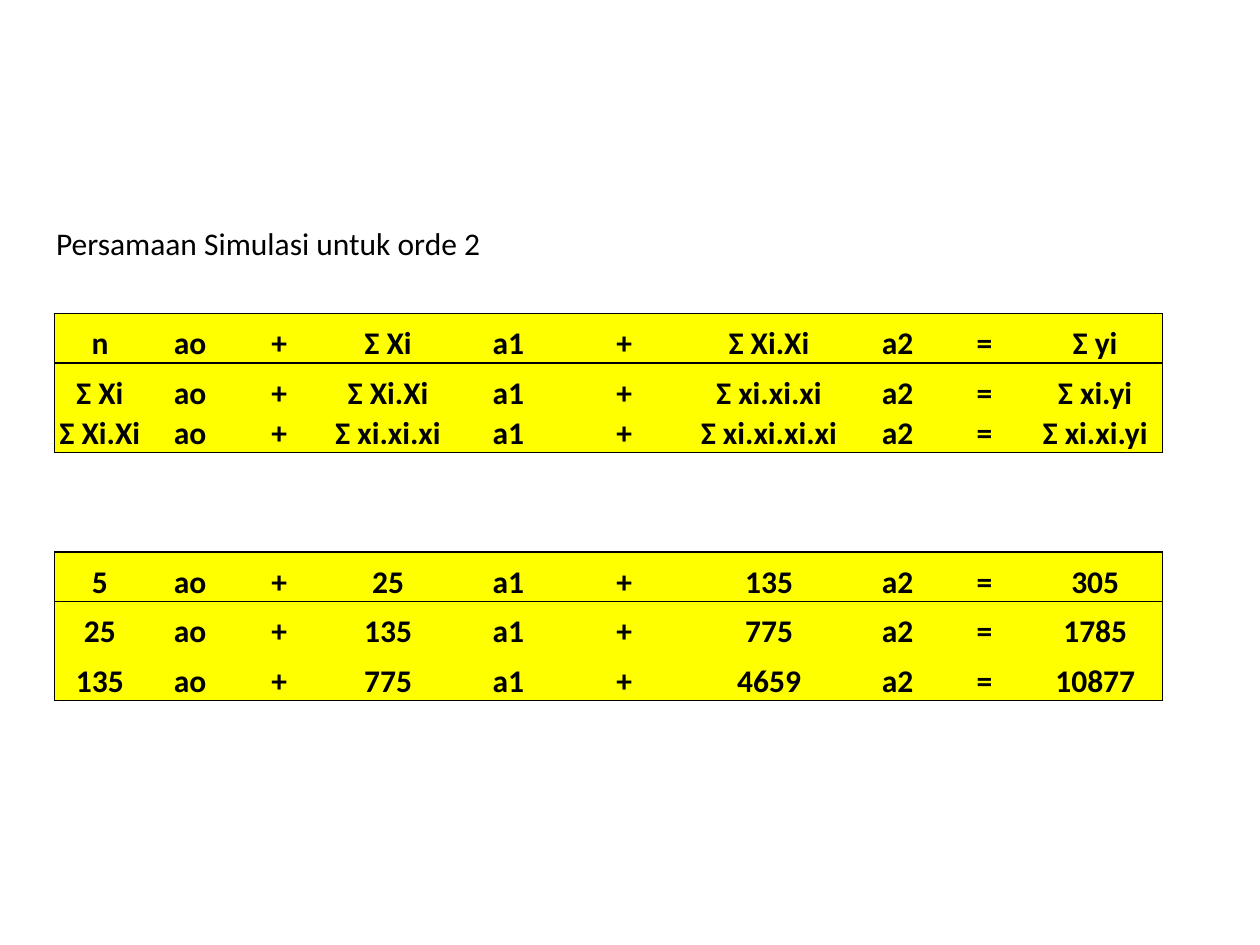
import pptx
import pptx.util
import pptx.oxml
import pptx.oxml.ns
import pptx.dml.color
import pptx.enum.text

Cm, Pt = pptx.util.Cm, pptx.util.Pt
RGB = pptx.dml.color.RGBColor.from_string

# Content: each equation lists its three factors and its result
title = "Persamaan Simulasi untuk orde 2"
sums = [
    ("n", "Σ Xi", "Σ Xi.Xi", "Σ yi"),
    ("Σ Xi", "Σ Xi.Xi", "Σ xi.xi.xi", "Σ xi.yi"),
    ("Σ Xi.Xi", "Σ xi.xi.xi", "Σ xi.xi.xi.xi", "Σ xi.xi.yi"),
]
values = [
    ("5", "25", "135", "305"),
    ("25", "135", "775", "1785"),
    ("135", "775", "4659", "10877"),
]
blocks = {2: sums, 7: values}  # first table row of each block

# Layout in cm
left, top = 1.1, 4.32
widths = [1.83, 1.8, 1.8, 2.59, 2.26, 2.41, 3.43, 1.75, 1.75, 2.72]
heights = [1, 1, 1, 1, 0.79, 1, 1, 1, 1, 1]
colors = {"text": "000000", "line": "000000", "block": "FFFF00"}
plain = "{2D5ABB26-0587-4C30-8999-92F81FD0307C}"  # no style, no grid


def write(cell, text, bold=False, align=pptx.enum.text.PP_ALIGN.LEFT):
    para = cell.text_frame.paragraphs[0]
    para.text = text
    para.alignment = align
    para.font.name = "Calibri"
    para.font.size = Pt(18)
    para.font.bold = bold
    para.font.color.rgb = RGB(colors["text"])


def border(cell, sides):
    props = cell._tc.get_or_add_tcPr()
    for side in sides:
        props.append(pptx.oxml.parse_xml(
            f'<a:ln{side} {pptx.oxml.ns.nsdecls("a")} w="{Pt(1)}">'
            f'<a:solidFill><a:srgbClr val="{colors["line"]}"/></a:solidFill>'
            f'</a:ln{side}>'))


def terms(a, b, c, y):
    return [a, "ao", "+", b, "a1", "+", c, "a2", "=", y]


# Slide and table
deck = pptx.Presentation()
deck.slide_width, deck.slide_height = Cm(25.4), Cm(19.05)
slide = deck.slides.add_slide(deck.slide_layouts[6])
frame = slide.shapes.add_table(
    len(heights), len(widths), Cm(left), Cm(top),
    Cm(sum(widths)), Cm(sum(heights)))
table = frame.table
table.first_row = table.horz_banding = False
table._tbl.tblPr.find(pptx.oxml.ns.qn("a:tableStyleId")).text = plain
for col, width in zip(table.columns, widths):
    col.width = Cm(width)
for row, height in zip(table.rows, heights):
    row.height = Cm(height)

# Tight margins, text at the bottom
for cell in table.iter_cells():
    cell.margin_left = cell.margin_right = cell.margin_top = Cm(0.03)
    cell.margin_bottom = 0
    cell.vertical_anchor = pptx.enum.text.MSO_ANCHOR.BOTTOM

# Heading
table.cell(0, 0).merge(table.cell(0, 4))
write(table.cell(0, 0), title)

# Framed equation blocks
for start, block in blocks.items():
    for i, factors in enumerate(block):
        words = terms(*factors)
        for j, word in enumerate(words):
            cell = table.cell(start + i, j)
            write(cell, word, True, pptx.enum.text.PP_ALIGN.CENTER)
            edges = {"L": j == 0, "R": j == len(words) - 1,
                     "T": i == 0, "B": i == len(block) - 1}
            border(cell, [side for side, on in edges.items() if on])
            cell.fill.solid()
            cell.fill.fore_color.rgb = RGB(colors["block"])

deck.save("out.pptx")
